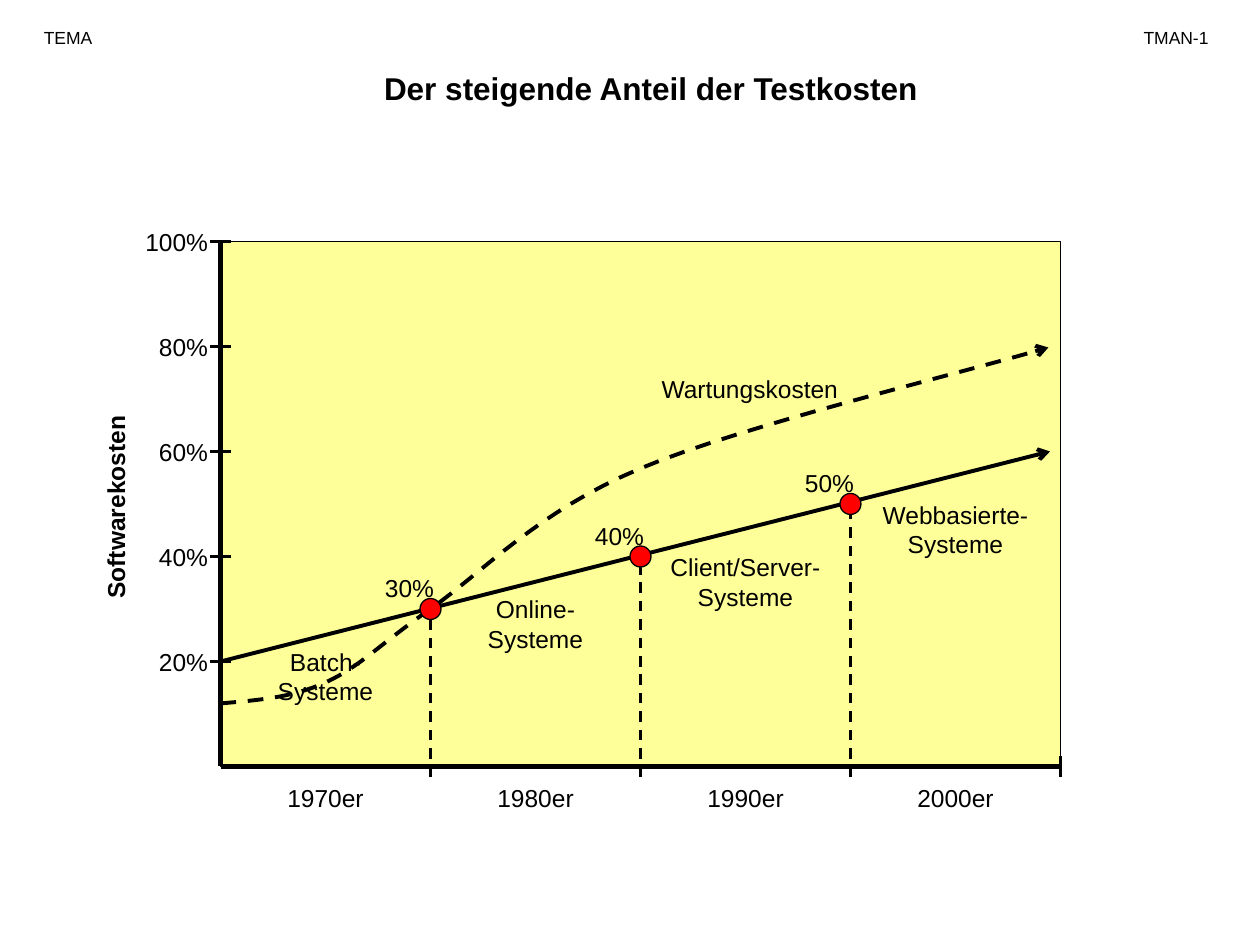
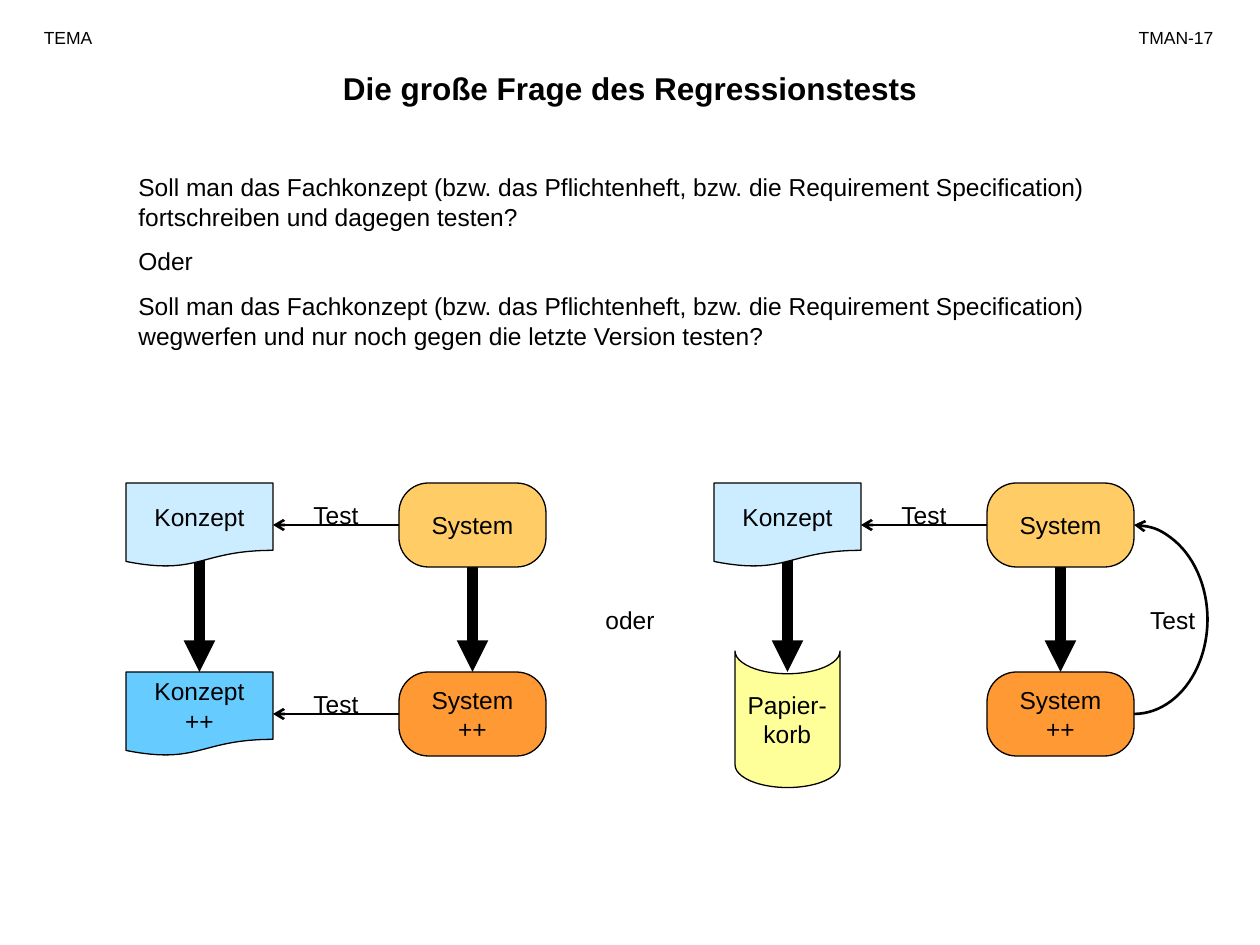
"""Build two slides on test costs and regression tests, laid out on a grid of 1/12 inch."""
from lxml import etree
from pptx import Presentation, util as u
from pptx.dml.color import RGBColor
from pptx.enum import dml, shapes, text
from pptx.oxml.ns import qn

INK = {"black": "000000", "lemon": "FFFF99", "red": "FF0000", "pale": "CCECFF",
       "sky": "66CCFF", "sand": "FFCC66", "orange": "FF9933"}
FONT = "Arial"
KIND = shapes.MSO_SHAPE
SIDE = {"l": text.PP_ALIGN.LEFT, "c": text.PP_ALIGN.CENTER, "r": text.PP_ALIGN.RIGHT}

COSTS = {"title": "Der steigende Anteil der Testkosten", "page": "TMAN-1", "span": (26, 72)}
PLOT = {"x": 21, "y": 23, "w": 80, "h": 50}
TICKS = [20, 40, 60, 80, 100]
ERAS = [("1970er", "Batch-\nSysteme", 61), ("1980er", "Online-\nSysteme", 56),
        ("1990er", "Client/Server-\nSysteme", 52), ("2000er", "Webbasierte-\nSysteme", 47)]
DOTS = [30, 40, 50]
CURVE = [(21, 67), (24.3, 66.7), (27.7, 66.5), (31, 65), (34.3, 63.5), (36, 61.5), (41, 58),
         (46, 54.5), (51.2, 48.7), (61.05, 44.6), (70.8, 40.5), (91.8, 35.5), (99.85, 33.1)]

ASK = {"title": "Die große Frage des Regressionstests", "page": "TMAN-17", "span": (17, 86)}
DOUBT = "Soll man das Fachkonzept (bzw. das Pflichtenheft, bzw. die Requirement Specification)\n"
LINES = [DOUBT + "fortschreiben und dagegen testen?", "Oder",
         DOUBT + "wegwerfen und nur noch gegen die letzte Version testen?"]
BOXES = {"old": (0, 0, KIND.FLOWCHART_DOCUMENT, "pale", ["Konzept"]),
         "new": (0, 1, KIND.FLOWCHART_DOCUMENT, "sky", ["Konzept", "++"]),
         "sys": (1, 0, KIND.ROUNDED_RECTANGLE, "sand", ["System"]),
         "next": (1, 1, KIND.ROUNDED_RECTANGLE, "orange", ["System", "++"])}
LEFT, RIGHT = 12, 68


def grid(*vals):
    """Turn grid units into lengths."""
    return [u.Cm(v * 2.54 / 12) for v in vals]


def tint(name):
    """Look up a colour."""
    return RGBColor.from_string(INK[name])


def put(obj, **form):
    """Set attributes from format values."""
    for key, val in form.items():
        setattr(obj, key, val)


def stroke(item, width, dash=False, **ends):
    """Style a line, with arrowheads given as headEnd or tailEnd."""
    item.line.color.rgb = tint("black")
    item.line.width = u.Pt(width)
    if dash:
        item.line.dash_style = dml.MSO_LINE.DASH
    for end, kind in ends.items():
        etree.SubElement(item.line._get_or_add_ln(), qn("a:" + end), type=kind)


def write(frame, paras, size=14, bold=False, side="c", gap=0):
    """Fill a text frame with paragraphs."""
    for i, words in enumerate(paras):
        para = frame.paragraphs[0] if i == 0 else frame.add_paragraph()
        para.text = words
        put(para, alignment=SIDE[side], space_before=u.Pt(gap if i else 0))
        for run in para.runs:
            put(run.font, name=FONT, size=u.Pt(size), bold=bold)
            run.font.color.rgb = tint("black")


def label(slide, x, y, w, *paras, size=14, **form):
    """Add a text box as tall as its lines."""
    rows = sum(p.count("\n") + 1 for p in paras)
    box = slide.shapes.add_textbox(*grid(x, y, w, 1.2 + rows * size * 0.2))
    put(box.text_frame, word_wrap=True, auto_size=text.MSO_AUTO_SIZE.SHAPE_TO_FIT_TEXT)
    write(box.text_frame, paras, size, **form)
    return box


def line(slide, x1, y1, x2, y2, width, **form):
    """Add a straight connector without shadow."""
    link = slide.shapes.add_connector(shapes.MSO_CONNECTOR.STRAIGHT, *grid(x1, y1, x2, y2))
    stroke(link, width, **form)
    etree.SubElement(link.element.spPr, qn("a:effectLst"))
    return link


def shape(slide, kind, x, y, w, h, fill, paras=()):
    """Add a filled preset shape."""
    item = slide.shapes.add_shape(kind, *grid(x, y, w, h))
    item.shadow.inherit = False
    item.fill.solid()
    item.fill.fore_color.rgb = tint(fill)
    stroke(item, 0.75)
    if paras:
        put(item.text_frame, word_wrap=False, vertical_anchor=text.MSO_ANCHOR.MIDDLE)
        write(item.text_frame, paras)
    return item


def bend(pts, steps=16):
    """Yield the points along joined cubic curves."""
    for k in range(0, len(pts) - 1, 3):
        for t in (n / steps for n in range(1, steps + 1)):
            mix = ((1 - t) ** 3, 3 * t * (1 - t) ** 2, 3 * t * t * (1 - t), t ** 3)
            yield tuple(sum(m * p[d] for m, p in zip(mix, pts[k:k + 4])) for d in (0, 1))


def start(deck, title, page, span):
    """Add a blank slide with title and header."""
    slide = deck.slides.add_slide(deck.slide_layouts[6])
    label(slide, span[0], 6, span[1], title, size=18, bold=True)
    label(slide, 3, 2, 11, "TEMA", size=10, side="l")
    label(slide, 107, 2, 10, page, size=10)
    return slide


def costs(deck):
    """Draw the cost diagram."""
    slide = start(deck, **COSTS)
    x, y, w, h = PLOT.values()
    base, step = y + h, w / len(ERAS)

    def level(share):
        return base - h * share / 100

    shape(slide, KIND.RECTANGLE, x, y, w, h, "lemon")
    pen = slide.shapes.build_freeform(*grid(*CURVE[0]), scale=1.0)
    pen.add_line_segments([grid(*p) for p in bend(CURVE)], close=False)
    wave = pen.convert_to_shape()
    wave.shadow.inherit = False
    wave.fill.background()
    stroke(wave, 2.25, dash=True, tailEnd="arrow")
    line(slide, x, level(20), x + w - 1, level(60), 2.25, tailEnd="arrow")
    line(slide, x, base, x + w, base, 3)
    line(slide, x, base, x, y, 3)
    for share in TICKS:
        line(slide, x - 1, level(share), x + 1, level(share), 1.5)
        label(slide, x - 10, level(share) - 2, 10, f"{share}%", side="r")
    line(slide, x + w, base + 1, x + w, base - 1, 1.5)
    for i, share in enumerate(DOTS, 1):
        mid, top = x + i * step, level(share)
        line(slide, mid, base + 1, mid, top, 1.5, dash=True)
        shape(slide, KIND.OVAL, mid - 1, top - 1, 2, 2, "red")
        label(slide, mid - 6, top - 4, 8, f"{share}%")
    for i, (era, kind, top) in enumerate(ERAS):
        label(slide, x + i * step + 2, base + 1, step - 4, era)
        label(slide, x + i * step, top, step, kind)
    label(slide, 51, 35, 30, "Wartungskosten", side="r")
    label(slide, -6.5, 46.3, 35, "Softwarekosten", bold=True).rotation = 270


def flow(slide, x, names):
    """Draw one option: boxes, thick arrows down, test arrows to the left."""
    down = [line(slide, x + 7, 53, x + 7, 64, 6, tailEnd="triangle"),
            line(slide, x + 33, 54, x + 33, 64, 6, tailEnd="triangle")]
    made = {}
    for name in names:
        col, row, kind, fill, paras = BOXES[name]
        made[name] = shape(slide, kind, x + 26 * col, 46 + 18 * row, 14, 8, fill, paras)
        if kind == KIND.ROUNDED_RECTANGLE:
            made[name].adjustments[0] = 0.35
    down[1].begin_connect(made["sys"], 2)
    down[1].end_connect(made["next"], 0)
    if "new" in made:
        down[0].end_connect(made["new"], 0)
    for row, (tail, tip) in enumerate([("sys", "old"), ("next", "new")]):
        if tip in made:
            y = 50 + 18 * row
            test = line(slide, x + 26, y, x + 14, y, 1.5, tailEnd="arrow")
            test.begin_connect(made[tail], 1)
            test.end_connect(made[tip], 3)
            label(slide, x + 14, y - 3, 12, "Test")


def ask(deck):
    """Draw the question and its two options."""
    slide = start(deck, **ASK)
    label(slide, 12, 15.8, 96, *LINES, side="l", gap=8.8)
    flow(slide, LEFT, ["old", "sys", "next", "new"])
    flow(slide, RIGHT, ["old", "sys", "next"])
    label(slide, 52, 57, 16, "oder")
    arc = slide.shapes.add_shape(KIND.ARC, *grid(RIGHT + 33, 50, 14, 18))
    arc.adjustments[1] = 54
    arc.shadow.inherit = False
    arc.fill.background()
    stroke(arc, 1.5, headEnd="arrow")
    label(slide, RIGHT + 38, 57, 9, "Test", side="r")
    bin_ = shape(slide, KIND.FLOWCHART_STORED_DATA, RIGHT + 0.5, 63.5, 13, 10, "lemon",
                 ["Papier-", "korb"])
    bin_.rotation = 270
    wide, slim = grid(1.2, 0.6)
    put(bin_.text_frame, margin_left=slim, margin_right=slim, margin_top=wide, margin_bottom=wide)
    bin_.element.txBody.bodyPr.set("vert", "eaVert")


def main():
    """Build and save the deck."""
    deck = Presentation()
    put(deck, slide_width=u.Cm(25.4), slide_height=u.Cm(19.05))
    costs(deck)
    ask(deck)
    deck.save("out.pptx")


if __name__ == "__main__":
    main()
